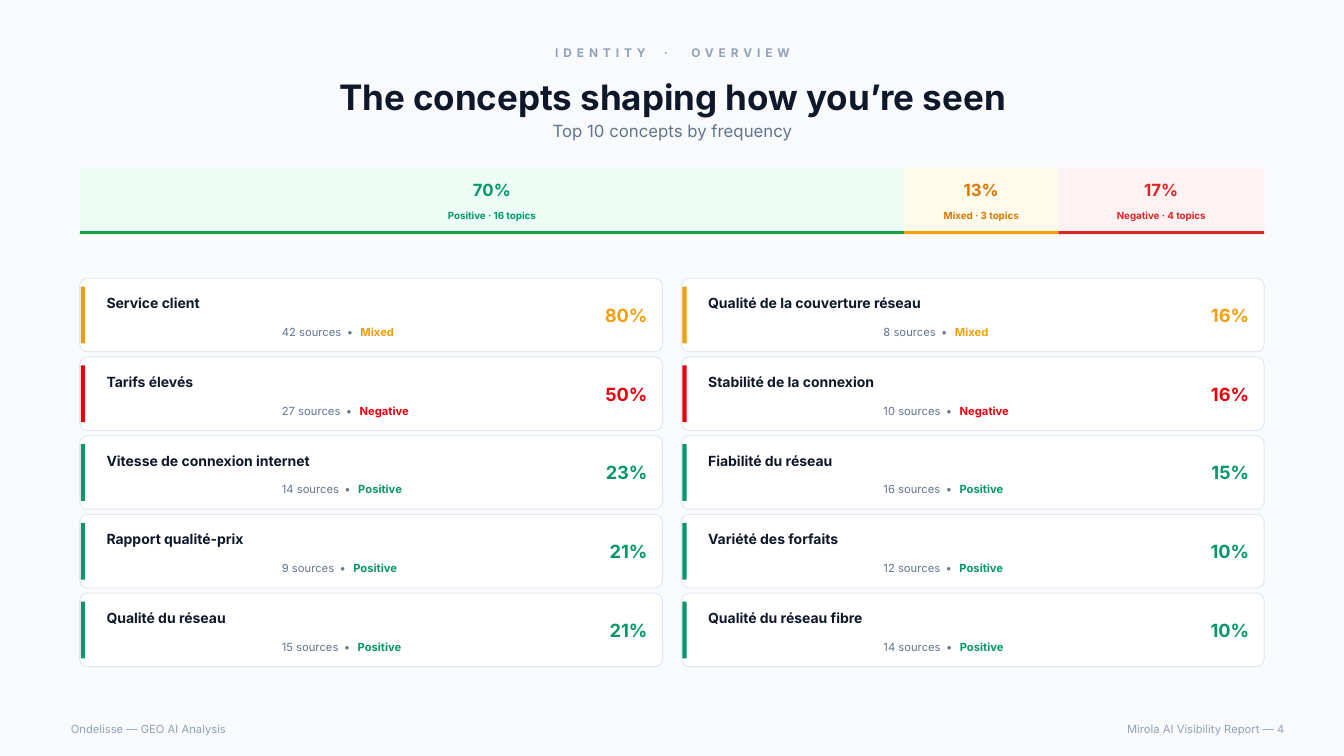
"""Build the concept overview slide with its sentiment bar and ten cards."""
import pptx
import pptx.dml.color
import pptx.enum.shapes
import pptx.enum.text
import pptx.util

RGB = pptx.dml.color.RGBColor
SHAPE = pptx.enum.shapes.MSO_SHAPE
ALIGN = pptx.enum.text.PP_ALIGN
ANCHOR = pptx.enum.text.MSO_ANCHOR

PAPER = RGB(0xF8, 0xFA, 0xFC)
WHITE = RGB(0xFF, 0xFF, 0xFF)
EDGE = RGB(0xE2, 0xE8, 0xF0)
INK = RGB(0x0F, 0x17, 0x2A)
SLATE = RGB(0x62, 0x74, 0x8E)
MUTED = RGB(0x90, 0xA1, 0xB9)
GREEN = RGB(0x05, 0x96, 0x69)
LEAF = RGB(0x16, 0xA3, 0x4A)
MINT = RGB(0xEC, 0xFD, 0xF5)
AMBER = RGB(0xF5, 0x9E, 0x0B)
OCHRE = RGB(0xD9, 0x77, 0x06)
CREAM = RGB(0xFF, 0xFB, 0xEB)
RED = RGB(0xE7, 0x00, 0x0B)
BRICK = RGB(0xDC, 0x26, 0x26)
ROSE = RGB(0xFE, 0xF2, 0xF2)

SCALE = 9525
LEFT, WIDTH = 76, 1128
TONES = {"Positive": GREEN, "Mixed": AMBER, "Negative": RED}
SHARES = [
    ("Positive", 16, "70%", MINT, LEAF, GREEN),
    ("Mixed", 3, "13%", CREAM, AMBER, OCHRE),
    ("Negative", 4, "17%", ROSE, BRICK, BRICK),
]
TOPICS = [
    ("Service client", 42, "Mixed", "80%"),
    ("Tarifs élevés", 27, "Negative", "50%"),
    ("Vitesse de connexion internet", 14, "Positive", "23%"),
    ("Rapport qualité-prix", 9, "Positive", "21%"),
    ("Qualité du réseau", 15, "Positive", "21%"),
    ("Qualité de la couverture réseau", 8, "Mixed", "16%"),
    ("Stabilité de la connexion", 10, "Negative", "16%"),
    ("Fiabilité du réseau", 16, "Positive", "15%"),
    ("Variété des forfaits", 12, "Positive", "10%"),
    ("Qualité du réseau fibre", 14, "Positive", "10%"),
]


def px(*sizes):
    return [pptx.util.Emu(size * SCALE) for size in sizes]


def box(slide, *area, anchor=ANCHOR.MIDDLE, wrap=True):
    frame = slide.shapes.add_textbox(*px(*area)).text_frame
    frame.word_wrap = wrap
    frame.vertical_anchor = anchor
    return frame


def write(frame, words, size=8, color=SLATE, bold=False, align=ALIGN.LEFT, space=0):
    line = frame.paragraphs[0]
    line.alignment = align
    run = line.add_run()
    run.text = words
    run.font.name = "Inter"
    run.font.size = pptx.util.Pt(size)
    run.font.bold = bold
    run.font.color.rgb = color
    if space:
        run._r.get_or_add_rPr().set("spc", str(round(space * 100)))


def block(slide, *area, fill, kind=SHAPE.RECTANGLE):
    shape = slide.shapes.add_shape(kind, *px(*area))
    shape.shadow.inherit = False
    shape.fill.solid()
    shape.fill.fore_color.rgb = fill
    shape.line.fill.background()
    return shape


def header(slide):
    frame = box(slide, 58, 38, 1165, 24)
    for words, space in (("IDENTITY", 3.5), (" · ", 7.4), ("OVERVIEW", 3.5)):
        write(frame, words, size=8.5, color=MUTED, bold=True, align=ALIGN.CENTER, space=space)
    title = slide.shapes.title
    title.left, title.top, title.width, title.height = px(58, 65, 1165, 54)
    title.text_frame.auto_size = pptx.enum.text.MSO_AUTO_SIZE.NONE
    title.text_frame.vertical_anchor = ANCHOR.MIDDLE
    write(title.text_frame, "The concepts shaping how you’re seen",
          size=25, color=INK, bold=True, align=ALIGN.CENTER)
    write(box(slide, 58, 113, 1165, 24), "Top 10 concepts by frequency",
          size=12, align=ALIGN.CENTER)


def footer(slide):
    write(box(slide, 58, 684, 573, 21), "Ondelisse — GEO AI Analysis", color=MUTED)
    write(box(slide, 654, 684, 579, 21), "Mirola AI Visibility Report — 4",
          color=MUTED, align=ALIGN.RIGHT)


def shares(slide):
    total = sum(share[1] for share in SHARES)
    left = LEFT
    for name, count, rate, fill, rule, color in SHARES:
        width = round(WIDTH * count / total)
        block(slide, left, 160, width, 62, fill=fill)
        block(slide, left, 220, width, 3, fill=rule)
        look = {"color": color, "bold": True, "align": ALIGN.CENTER}
        write(box(slide, left, 167, width, 27), rate, size=12, **look)
        write(box(slide, left, 195, width, 21), f"{name} · {count} topics", size=7, **look)
        left += width


def card(slide, left, top, name, count, tone, rate):
    color = TONES[tone]
    panel = block(slide, left, top, 555, 70, fill=WHITE, kind=SHAPE.ROUNDED_RECTANGLE)
    panel.adjustments[0] = 0.1
    panel.line.color.rgb = EDGE
    panel.line.width = pptx.util.Pt(0.75)
    block(slide, left + 1, top + 8, 4, 54, fill=color)
    write(box(slide, left + 16, top + 11, 435, 26, anchor=ANCHOR.TOP), name,
          size=10, color=INK, bold=True)
    note = box(slide, left + 183, top + 40, 268, 21, anchor=ANCHOR.TOP)
    write(note, f"{count} sources")
    write(note, " • ", space=1.5)
    write(note, tone, color=color, bold=True)
    write(box(slide, left + 481, top, 69, 70, wrap=False), rate,
          size=13, color=color, bold=True, align=ALIGN.RIGHT)


def main():
    deck = pptx.Presentation()
    deck.slide_width, deck.slide_height = px(1280, 720)
    slide = deck.slides.add_slide(deck.slide_layouts[5])
    slide.background.fill.solid()
    slide.background.fill.fore_color.rgb = PAPER
    header(slide)
    footer(slide)
    shares(slide)
    for index, topic in enumerate(TOPICS):
        column, row = divmod(index, 5)
        card(slide, LEFT + 573 * column, 265 + 75 * row, *topic)
    deck.save("out.pptx")


if __name__ == "__main__":
    main()
